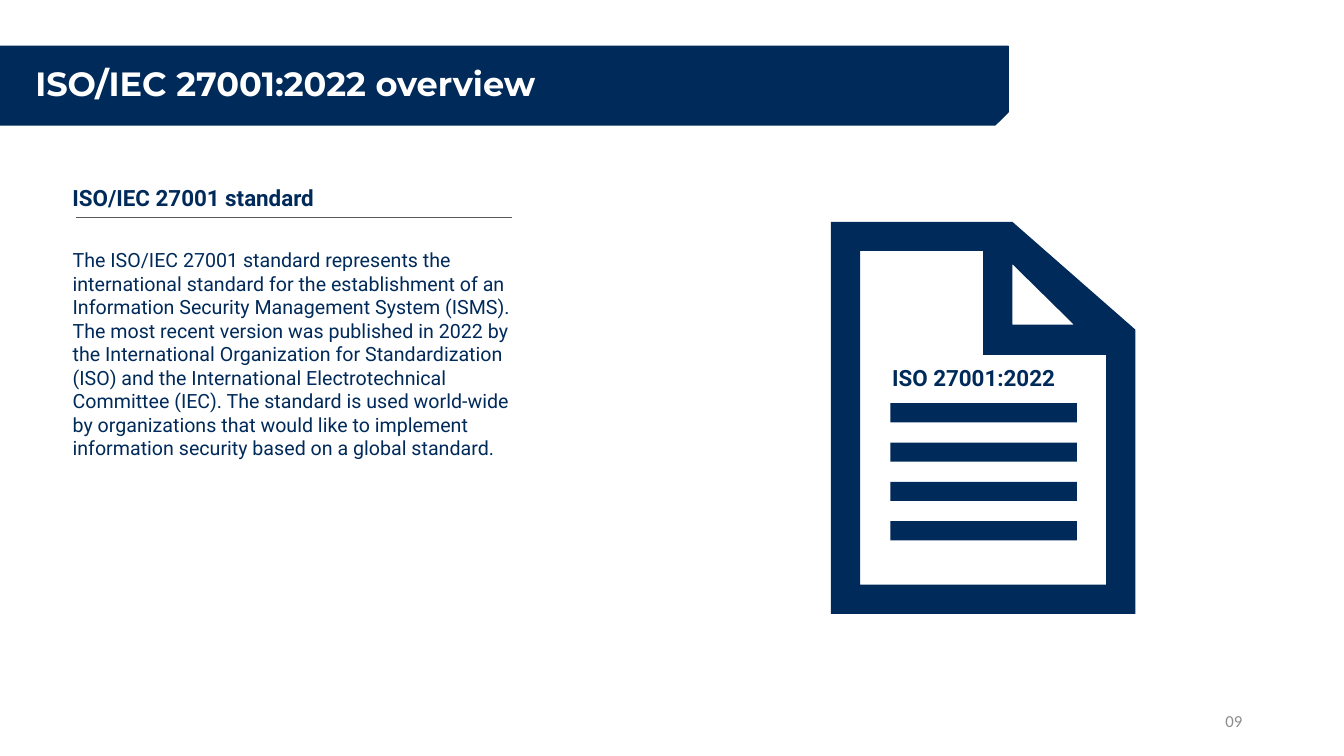
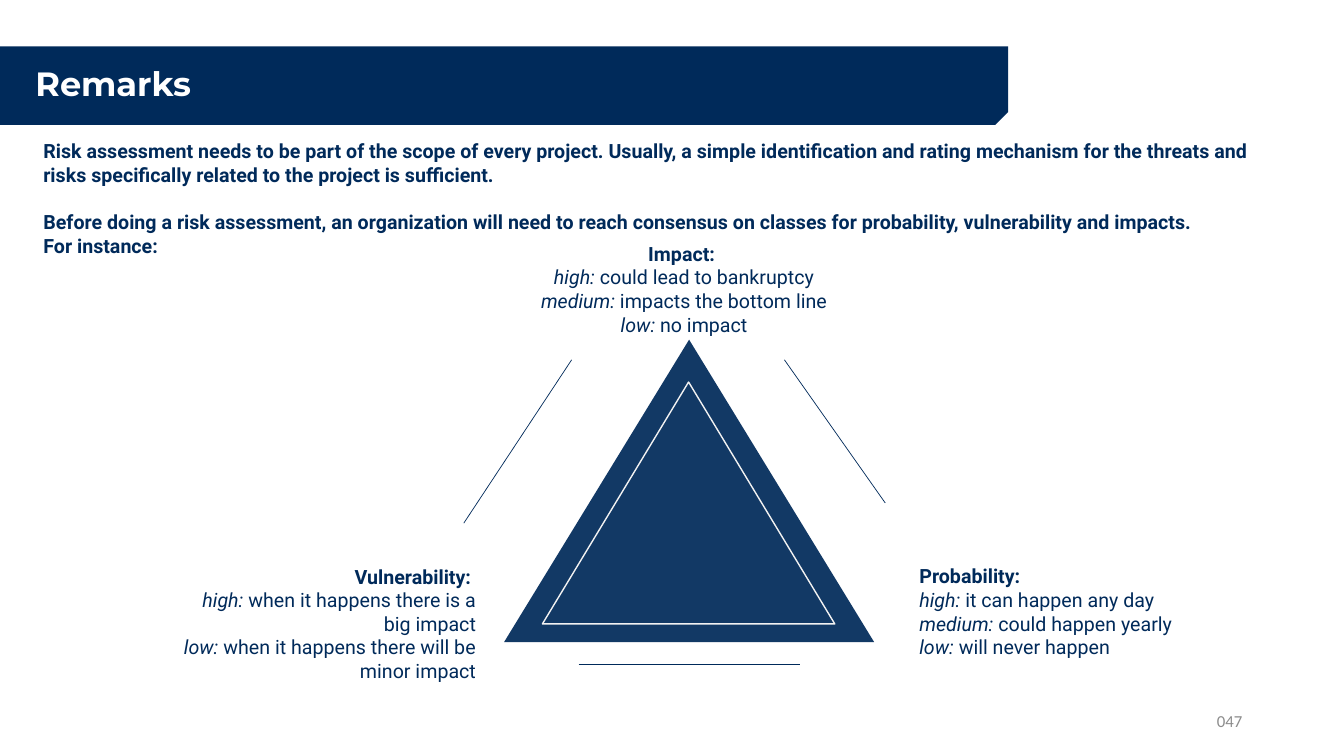
from lxml import etree
from pptx import Presentation
from pptx import util as u
from pptx.dml.color import RGBColor
from pptx.enum import shapes, text
from pptx.oxml.ns import qn

COLOURS = {"navy": "002A5A", "white": "FFFFFF", "pale": "F2F2F2",
           "rule": "595959", "number": "8C8C8C"}
HEAD_FONT, BODY_FONT, NUMBER_FONT = "Montserrat", "Roboto", "Calibri"
LEFT, CENTER, RIGHT = (text.PP_ALIGN.LEFT, text.PP_ALIGN.CENTER,
                       text.PP_ALIGN.RIGHT)
TITLE_BAND = (0, 0.46, 10, 0.78)
NUMBER_BOX = (9.42, 6.95, 3, 0.4)


# Shared helpers
def colour(name):
    return RGBColor.from_string(COLOURS[name])


def inches(box):
    return [u.Inches(value) for value in box]


def place(shape, box):
    shape.left, shape.top, shape.width, shape.height = inches(box)


def style(para, size, name=BODY_FONT, ink="navy", bold=False, align=LEFT):
    para.alignment = align
    para.font.size = u.Pt(size)
    para.font.name = name
    para.font.bold = bold
    para.font.color.rgb = colour(ink)


def add_shape(page, kind, box, fill=None, line=None):
    shape = page.shapes.add_shape(kind, *inches(box))
    paint(shape, fill, line)
    return shape


def paint(shape, fill=None, line=None):
    shape.shadow.inherit = False
    if fill:
        shape.fill.solid()
        shape.fill.fore_color.rgb = colour(fill)
    else:
        shape.fill.background()
    if line:
        shape.line.color.rgb = colour(line)
        shape.line.width = u.Pt(1)
    else:
        shape.line.fill.background()


def add_line(page, start, end, ink="navy"):
    line = page.shapes.add_connector(shapes.MSO_CONNECTOR.STRAIGHT,
                                     *inches(start + end))
    line.line.color.rgb = colour(ink)
    line.line.width = u.Pt(0.5)
    etree.SubElement(line._element.spPr, qn("a:effectLst"))


def add_frame(page, box):
    frame = page.shapes.add_textbox(*inches(box)).text_frame
    frame.word_wrap = True
    return frame


def add_label(page, box, words, size, **look):
    frame = add_frame(page, box)
    frame.text = words
    style(frame.paragraphs[0], size, **look)
    return frame


def fill_body(page, box, paragraphs, bold=False, gaps=None):
    """Put plain paragraphs in the body placeholder; gaps maps index to points."""
    body = page.placeholders[1]
    place(body, box)
    frame = body.text_frame
    frame.auto_size = text.MSO_AUTO_SIZE.NONE
    frame.text = "\n".join(paragraphs)
    for index, para in enumerate(frame.paragraphs):
        props = para._p.get_or_add_pPr()
        props.set("marL", "0")
        props.set("indent", "0")
        etree.SubElement(props, qn("a:buNone"))
        para.space_before = u.Pt((gaps or {}).get(index, 0))
        style(para, 14, bold=bold)


# Title band and page number of every slide
def add_page(deck, title, number, band_line=None):
    page = deck.slides.add_slide(deck.slide_layouts[1])
    left, top, width, height = TITLE_BAND
    band = add_shape(page, shapes.MSO_SHAPE.SNIP_ROUND_RECTANGLE, TITLE_BAND,
                     "navy", band_line)
    band.adjustments[0], band.adjustments[1] = 0, 0.167
    band._element.spPr.find(qn("a:xfrm")).set("flipV", "1")

    heading = page.shapes.title
    heading._element.addprevious(band._element)
    place(heading, (left + 0.25, top, width - 0.5, height))
    frame = heading.text_frame
    frame.auto_size = text.MSO_AUTO_SIZE.NONE
    frame.vertical_anchor = text.MSO_ANCHOR.MIDDLE
    frame.text = title
    frame.paragraphs[0].line_spacing = 0.9
    style(frame.paragraphs[0], 24, HEAD_FONT, "white", bold=True)

    footer = add_label(page, NUMBER_BOX, number, 12, name=NUMBER_FONT,
                       ink="number", align=RIGHT)
    footer.vertical_anchor = text.MSO_ANCHOR.MIDDLE
    return page


# Document icon: outline with a folded corner, caption and text bars
def add_document(page, box, caption):
    left, top, width, height = box
    rim, fold = 0.29, 1.8
    contours = [
        [(fold, 0), (0, 0), (0, height), (width, height), (width, 1.07)],
        [(rim, height - rim), (rim, rim), (fold - rim, rim),
         (fold - rim, 1.32), (width - rim, 1.32), (width - rim, height - rim)],
        [(fold, 0.42), (fold + 0.61, 1.02), (fold, 1.02)],
    ]
    builder = None
    for contour in contours:
        points = [(u.Inches(x), u.Inches(y)) for x, y in contour]
        if builder is None:
            builder = page.shapes.build_freeform(*points[0])
        else:
            builder.move_to(*points[0])
        builder.add_line_segments(points[1:], close=True)
    paint(builder.convert_to_shape(u.Inches(left), u.Inches(top)), "navy")

    for row in range(4):
        add_shape(page, shapes.MSO_SHAPE.RECTANGLE,
                  (left + 0.59, top + 1.8 + row * 0.39, 1.85, 0.19), "navy")
    add_label(page, (left + 0.51, top + 1.36, 2, 0.37), caption, 16, bold=True)


# Headed list of rated classes
def add_classes(page, box, heading, ratings, align):
    frame = add_frame(page, box)
    for index, (label, meaning) in enumerate([(heading, "")] + ratings):
        para = frame.paragraphs[0] if index == 0 else frame.add_paragraph()
        para._p.get_or_add_pPr().set("marL", str(u.Inches(0.5)))
        style(para, 14, bold=index == 0, align=align)
        span = para.add_run()
        span.text = label
        if meaning:
            span.font.italic = True
            para.add_run().text = meaning


# Solid triangle with a thin inner outline
def add_triangle(page, box):
    left, top, width, height = box
    kind = shapes.MSO_SHAPE.ISOSCELES_TRIANGLE
    solid = add_shape(page, kind, box, "navy")
    tint = solid._element.spPr.find(qn("a:solidFill"))[0]
    etree.SubElement(tint, qn("a:alpha")).set("val", "93000")
    add_shape(page, kind, (left + 0.38, top + 0.42, 2.9, 2.4), line="pale")


def build_overview(deck):
    page = add_page(deck, "ISO/IEC 27001:2022 overview", "09", "navy")
    add_label(page, (0.62, 1.78, 4.67, 0.37), "ISO/IEC 27001 standard", 16,
              bold=True)
    add_line(page, (0.75, 2.16), (5.08, 2.16), "rule")
    fill_body(page, (0.62, 2.41, 4.67, 2.22), [
        "The ISO/IEC 27001 standard represents the international standard for "
        "the establishment of an Information Security Management System "
        "(ISMS). The most recent version was published in 2022 by the "
        "International Organization for Standardization (ISO) and the "
        "International Electrotechnical Committee (IEC). The standard is used "
        "world-wide by organizations that would like to implement information "
        "security based on a global standard."])
    add_document(page, (8.24, 2.2, 3.02, 3.89), "ISO 27001:2022")


def build_remarks(deck):
    page = add_page(deck, "Remarks", "047")
    fill_body(page, (0.33, 1.33, 12.5, 1.28), [
        "Risk assessment needs to be part of the scope of every project. "
        "Usually, a simple identification and rating mechanism for the threats "
        "and risks specifically related to the project is sufficient.",
        "Before doing a risk assessment, an organization will need to reach "
        "consensus on classes for probability, vulnerability and impacts.",
        "For instance:"], bold=True, gaps={1: 17})
    add_triangle(page, (5, 3.37, 3.67, 3))

    add_classes(page, (8.52, 5.55, 3.25, 1.04), "Probability:", [
        ("high: ", "it can happen any day"),
        ("medium: ", "could happen yearly"),
        ("low: ", "will never happen")], LEFT)
    add_classes(page, (1.15, 5.55, 3.67, 1.28), "Vulnerability: ", [
        ("high:", " when it happens there is a big impact"),
        ("low:", " when it happens there will be minor impact")], RIGHT)
    add_classes(page, (4.41, 2.35, 4.25, 1.04), "Impact: ", [
        ("high: ", "could lead to bankruptcy"),
        ("medium: ", "impacts the bottom line"),
        ("low: ", "no impact")], CENTER)

    # Lines along the three sides
    for start, end in [((4.6, 5.19), (5.67, 3.57)),
                       ((5.74, 6.59), (7.93, 6.59)),
                       ((8.78, 4.99), (7.78, 3.57))]:
        add_line(page, start, end)


def main():
    deck = Presentation()
    deck.slide_width, deck.slide_height = u.Inches(13.33), u.Inches(7.5)
    build_overview(deck)
    build_remarks(deck)
    deck.save("out.pptx")


if __name__ == "__main__":
    main()
